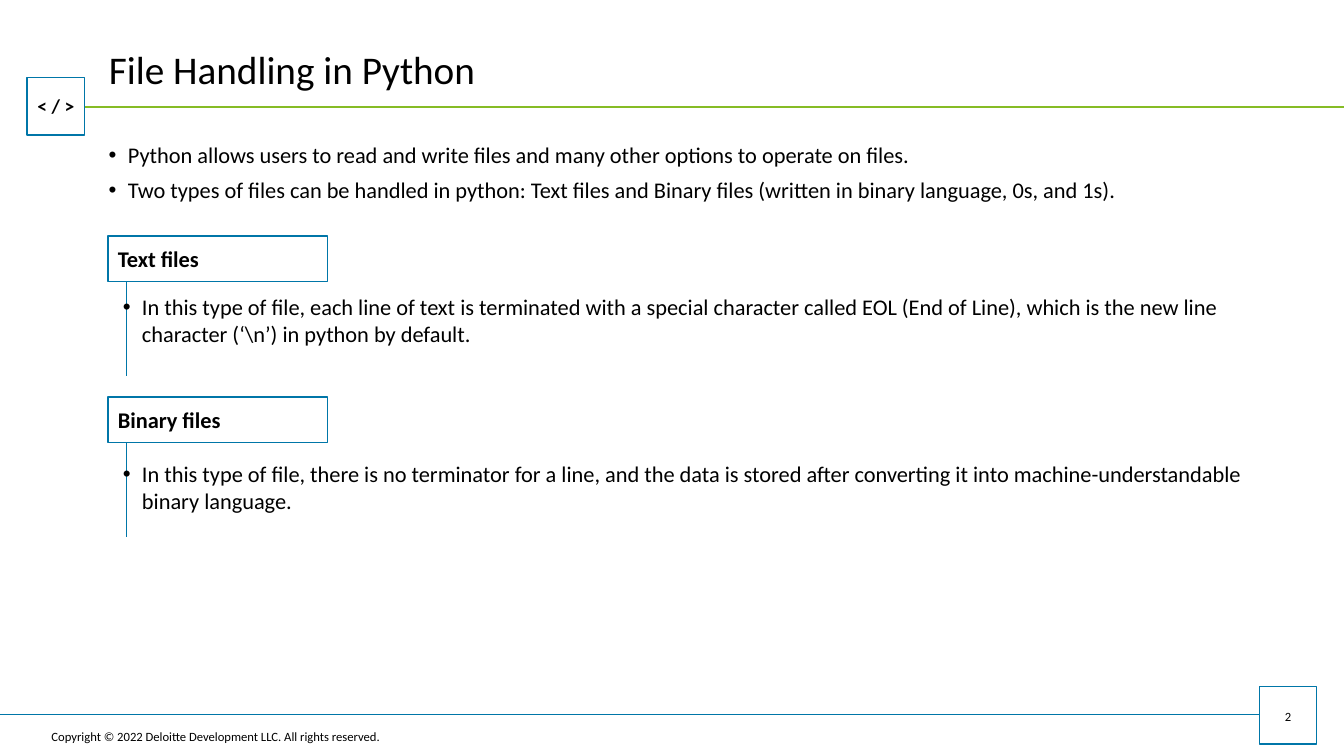
from lxml.etree import SubElement
from pptx import Presentation
from pptx.dml.color import RGBColor
from pptx.enum.shapes import MSO_CONNECTOR, MSO_SHAPE
from pptx.enum.text import MSO_ANCHOR, PP_ALIGN
from pptx.oxml.ns import qn
from pptx.util import Inches, Pt

COLORS = {"blue": "0076A8", "green": "86BC25", "white": "FFFFFF", "black": "000000"}
FONT = "Calibri"
WIDTH, HEIGHT = 13.33, 7.5
LEFT, CONTENT_WIDTH = 0.98, 11.28
BADGE = 0.57
INDENT = 0.19

presentation = Presentation()
presentation.slide_width, presentation.slide_height = Inches(WIDTH), Inches(HEIGHT)
slide = presentation.slides.add_slide(presentation.slide_layouts[5])


def write(shape, lines, size, bold=False, align=PP_ALIGN.LEFT,
          anchor=MSO_ANCHOR.TOP, bullet=False, wrap=True):
    """Fill a shape with one paragraph per line."""
    frame = shape.text_frame
    frame.word_wrap = wrap
    frame.vertical_anchor = anchor
    for index, line in enumerate(lines):
        paragraph = frame.paragraphs[0] if index == 0 else frame.add_paragraph()
        paragraph.alignment = align
        if bullet:
            properties = paragraph._p.get_or_add_pPr()
            properties.set("marL", str(Inches(INDENT)))
            properties.set("indent", str(-Inches(INDENT)))
            SubElement(properties, qn("a:buFont")).set("typeface", "Arial")
            SubElement(properties, qn("a:buChar")).set("char", "•")
        if index:
            paragraph.space_before = Pt(6)
        run = paragraph.add_run()
        run.text = line
        run.font.name, run.font.size, run.font.bold = FONT, Pt(size), bold
        run.font.color.rgb = RGBColor.from_string(COLORS["black"])


def add_line(start_x, start_y, end_x, end_y, color, weight):
    """Draw a straight line without a shadow."""
    connector = slide.shapes.add_connector(
        MSO_CONNECTOR.STRAIGHT, Inches(start_x), Inches(start_y), Inches(end_x), Inches(end_y))
    connector.line.color.rgb = RGBColor.from_string(COLORS[color])
    connector.line.width = Pt(weight)
    SubElement(connector._element.spPr, qn("a:effectLst"))


# Header and footer rules
add_line(0.76, 1.06, WIDTH, 1.06, "green", 1)
add_line(0, 7.09, 12.58, 7.09, "blue", 1)

# Section guides
section_tops = (2.34, 3.94)
for top in section_tops:
    add_line(1.25, top + 0.43, 1.25, top + 1.39, "blue", 0.5)

# Framed boxes: code badge, page badge and section headings
boxes = [(0.27, 0.77, BADGE, BADGE, ""), (12.49, 6.81, BADGE, BADGE, "")]
for top, heading in zip(section_tops, ("Text files", "Binary files")):
    boxes.append((1.07, top, 2.18, 0.45, heading))
for left, top, width, height, heading in boxes:
    box = slide.shapes.add_shape(
        MSO_SHAPE.RECTANGLE, Inches(left), Inches(top), Inches(width), Inches(height))
    box.shadow.inherit = False
    box.fill.solid()
    box.fill.fore_color.rgb = RGBColor.from_string(COLORS["white"])
    box.line.color.rgb = RGBColor.from_string(COLORS["blue"])
    box.line.width = Pt(1)
    if heading:
        write(box, [heading], 16, bold=True, anchor=MSO_ANCHOR.MIDDLE)

# Title
title = slide.shapes.title
title.left, title.top = Inches(LEFT), Inches(0.3)
title.width, title.height = Inches(CONTENT_WIDTH), Inches(0.76)
write(title, ["File Handling in Python"], 28, anchor=MSO_ANCHOR.MIDDLE)

# Badge labels
code_label = slide.shapes.add_textbox(Inches(0.27), Inches(0.88), Inches(BADGE), Inches(0.34))
write(code_label, ["< / >"], 14, bold=True, align=PP_ALIGN.CENTER, wrap=False)
page_number = slide.shapes.add_textbox(Inches(12.49), Inches(6.98), Inches(BADGE), Inches(0.25))
write(page_number, ["2"], 9, align=PP_ALIGN.CENTER)

# Copyright line
copyright_line = slide.shapes.add_textbox(Inches(0.51), Inches(7.25), Inches(3.88), Inches(0.11))
frame = copyright_line.text_frame
frame.margin_left = frame.margin_right = frame.margin_top = frame.margin_bottom = 0
write(copyright_line, ["Copyright © 2022 Deloitte Development LLC. All rights reserved."], 9,
      anchor=MSO_ANCHOR.MIDDLE)

# Bulleted text
bullet_blocks = [
    (LEFT, 1.35, CONTENT_WIDTH, 0.72, [
        "Python allows users to read and write files and many other options to operate on files.",
        "Two types of files can be handled in python: Text files and Binary files "
        "(written in binary language, 0s, and 1s)."]),
    (1.12, 2.86, 11.83, 0.64, [
        "In this type of file, each line of text is terminated with a special character called "
        r"EOL (End of Line), which is the new line character (‘\n’) in python by default."]),
    (1.12, 4.52, 11.37, 0.64, [
        "In this type of file, there is no terminator for a line, and the data is stored after "
        "converting it into machine-understandable binary language."]),
]
for left, top, width, height, lines in bullet_blocks:
    block = slide.shapes.add_textbox(Inches(left), Inches(top), Inches(width), Inches(height))
    write(block, lines, 16, bullet=True)

presentation.save("out.pptx")
